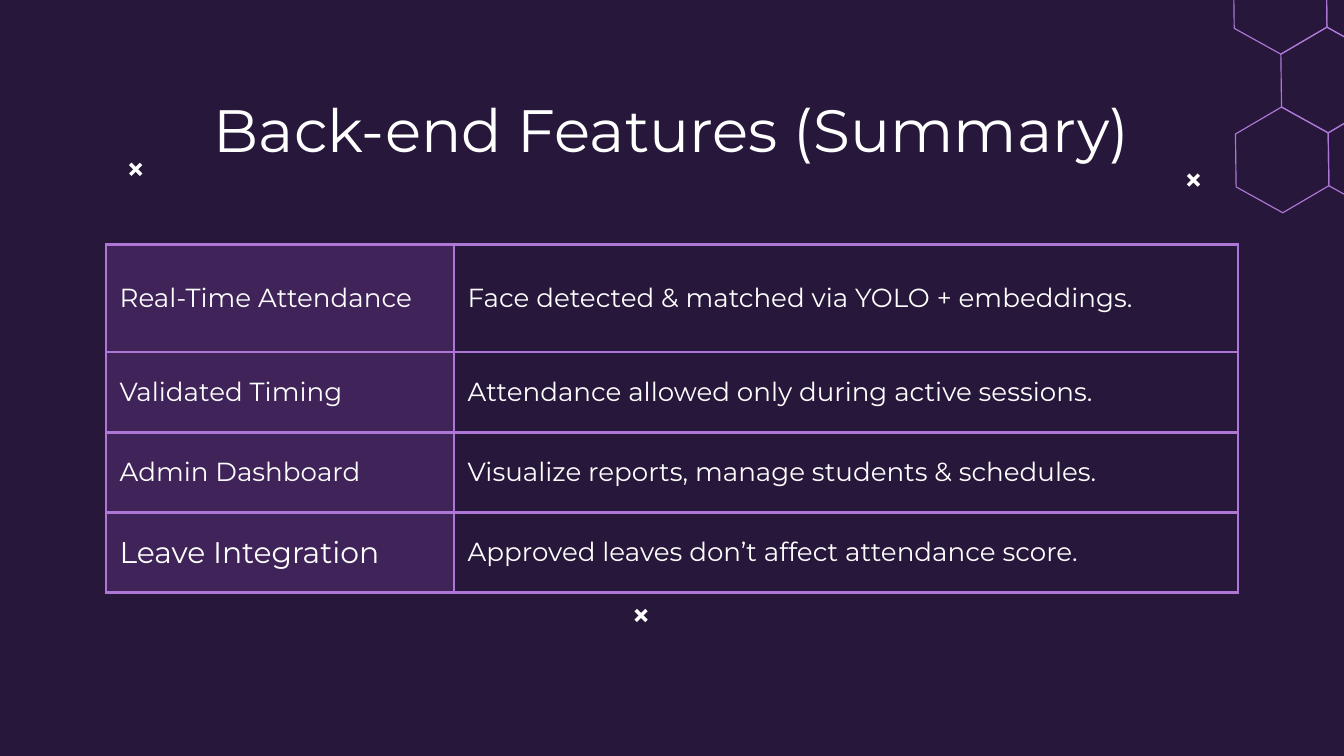
from math import cos, radians, sin

from lxml.etree import SubElement
from pptx import Presentation
from pptx.dml.color import RGBColor
from pptx.enum.text import MSO_ANCHOR, PP_ALIGN
from pptx.oxml.ns import qn
from pptx.util import Inches, Pt

# Colours, font and type sizes
THEME = {
    "back": "27173A", "line": "AE77D6", "fill": "733C9B", "text": "FFFFFF",
    "font": "Montserrat", "title": 32, "body": 14, "large": 16,
}
INSET = {f"margin_{side}": Inches(0.1)
         for side in ("left", "right", "top", "bottom")}
ROWS = [
    ("Real-Time Attendance", "Face detected & matched via YOLO + embeddings."),
    ("Validated Timing", "Attendance allowed only during active sessions."),
    ("Admin Dashboard", "Visualize reports, manage students & schedules."),
    ("Leave Integration", "Approved leaves don’t affect attendance score."),
]


def tint(name):
    return RGBColor.from_string(THEME[name])


def apply(item, values):
    for key, value in values.items():
        setattr(item, key, value)


def write(frame, text, size, **form):
    part = frame.paragraphs[0]
    apply(part, form)
    run = part.add_run()
    run.text = text
    apply(run.font, {"name": THEME["font"], "size": Pt(THEME[size])})
    run.font.color.rgb = tint("text")


def add_title(slide, box):
    frame = slide.shapes.add_textbox(*map(Inches, box)).text_frame
    apply(frame, INSET)
    apply(frame, {"word_wrap": True, "vertical_anchor": MSO_ANCHOR.TOP})
    write(frame, "Back-end Features (Summary)", "title",
          alignment=PP_ALIGN.CENTER)


def add_edges(cell):
    props = cell._tc.get_or_add_tcPr()
    for side in "LRTB":
        edge = SubElement(props, qn(f"a:ln{side}"), w=str(Pt(1.5)))
        fill = SubElement(edge, qn("a:solidFill"))
        SubElement(fill, qn("a:srgbClr"), val=THEME["line"])


def shade(cell, alpha):
    cell.fill.solid()
    cell.fill.fore_color.rgb = tint("fill")
    color = cell._tc.tcPr.find(f"{qn('a:solidFill')}/{qn('a:srgbClr')}")
    SubElement(color, qn("a:alpha"), val=str(alpha * 1000))


def add_grid(slide, box):
    wide, high = box[2:]
    table = slide.shapes.add_table(len(ROWS), 2, *map(Inches, box)).table
    apply(table, {"first_row": False, "horz_banding": False})
    first = 2.59
    for col, width in zip(table.columns, (first, wide - first)):
        col.width = Inches(width)

    # The top row is taller, the others share the rest
    top = 0.8
    rest = (high - top) / (len(ROWS) - 1)
    for i, (row, texts) in enumerate(zip(table.rows, ROWS)):
        row.height = Inches(rest if i else top)
        for j, (cell, text) in enumerate(zip(row.cells, texts)):
            apply(cell, {**INSET, "vertical_anchor": MSO_ANCHOR.MIDDLE})
            add_edges(cell)
            if j:
                cell.fill.background()
                write(cell.text_frame, text, "body", space_after=Pt(16))
            else:
                shade(cell, 33)
                last = i == len(ROWS) - 1
                write(cell.text_frame, text, "large" if last else "body")


def add_comb(slide, x, y):
    """Tilted honeycomb, laid out from the centre of its lower left cell."""
    step, rise, tilt = 0.69, 0.59, radians(-0.7)
    half, size = step / 2, rise / 1.5

    def place(left, down):
        return (Inches(x + left * cos(tilt) - down * sin(tilt)),
                Inches(y + left * sin(tilt) + down * cos(tilt)))

    edge = [(half, -size / 2), (half, size / 2), (0, size),
            (-half, size / 2), (-half, -size / 2), (0, -size)]
    for right, up in ((0, 0), (1, 0), (0.5, 1), (0, 2), (1, 2)):
        points = [place(step * right + a, b - rise * up) for a, b in edge]
        path = slide.shapes.build_freeform(*points[0])
        path.add_line_segments(points[1:], close=True)
        cell = path.convert_to_shape()
        cell.shadow.inherit = False
        cell.fill.background()
        cell.line.color.rgb = tint("line")
        cell.line.width = Pt(0.61)


def add_cross(slide, box):
    x, y, wide, high = box
    for start, end in ((y + high, y), (y, y + high)):
        ends = map(Inches, (x, start, x + wide, end))
        stroke = slide.shapes.add_connector(1, *ends)
        stroke.line.color.rgb = tint("text")
        stroke.line.width = Pt(1.84)
        SubElement(stroke._element.spPr, qn("a:effectLst"))


def main():
    deck = Presentation()
    # Widescreen, 16 to 9
    wide = Inches(10)
    apply(deck, {"slide_width": wide, "slide_height": wide * 9 // 16})
    slide = deck.slides.add_slide(deck.slide_layouts[6])
    slide.background.fill.solid()
    slide.background.fill.fore_color.rgb = tint("back")

    # Corner pattern, heading, table, then small crosses
    add_comb(slide, 9.54, 1.19)
    add_title(slide, (0.79, 0.59, 8.42, 0.63))
    add_grid(slide, (0.79, 1.82, 8.42, 2.59))
    for x, y in ((8.84, 1.3), (4.73, 4.54), (0.97, 1.22)):
        add_cross(slide, (x, y, 0.08, 0.08))
    deck.save("out.pptx")


if __name__ == "__main__":
    main()
